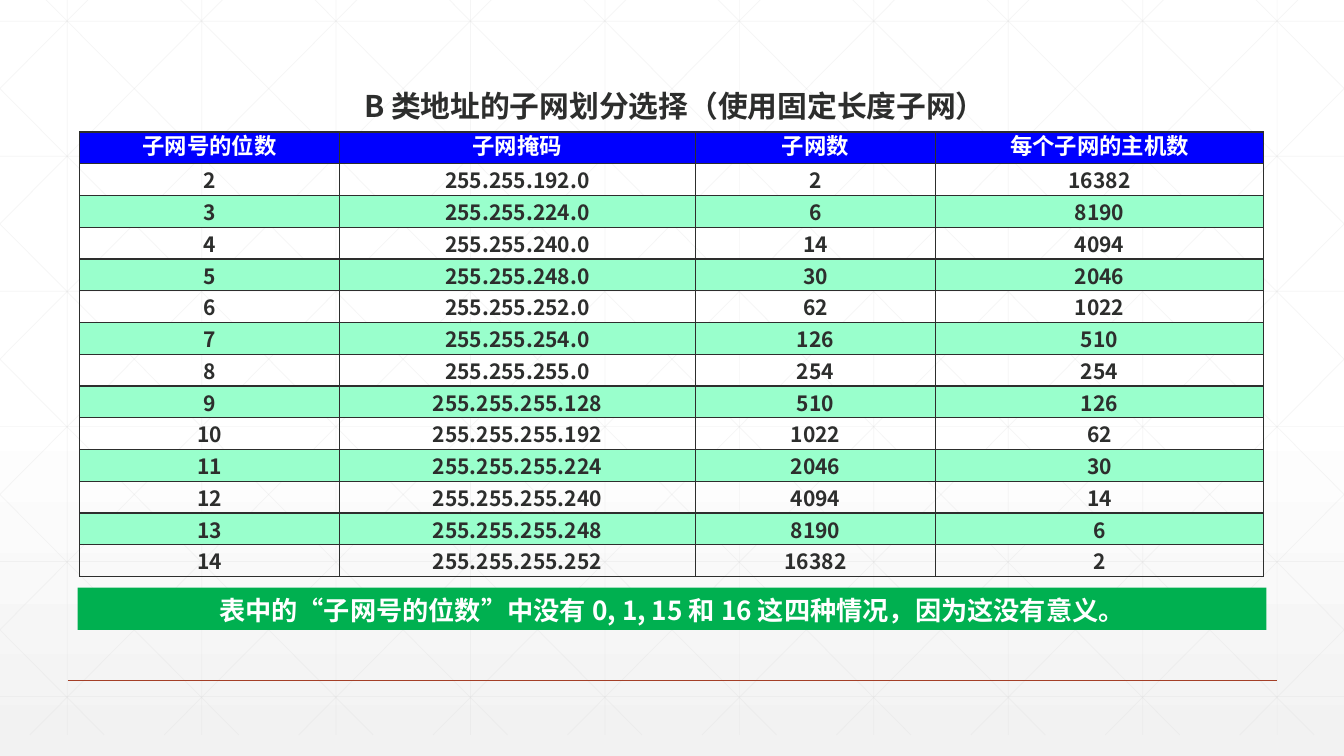
from dataclasses import dataclass

import lxml.etree
import pptx
import pptx.dml.color
import pptx.enum.shapes
import pptx.enum.text
import pptx.oxml
import pptx.oxml.ns
import pptx.util

Inches = pptx.util.Inches
Pt = pptx.util.Pt
qn = pptx.oxml.ns.qn


@dataclass(frozen=True)
class Theme:
    font: str = "Noto Sans CJK SC"
    ink: str = "2D2E2D"
    white: str = "FFFFFF"
    page_foot: str = "F2F2F2"
    grid: str = "D9D9D9"
    rule: str = "A43F27"
    header: str = "0000FF"
    band: str = "99FFCC"
    note: str = "00B050"
    title_size: float = 21.3
    header_size: float = 16
    body_size: float = 15
    note_size: float = 18.7


THEME = Theme()
SLIDE_WIDTH, SLIDE_HEIGHT = 13.33, 7.5
HEADINGS = ["子网号的位数", "子网掩码", "子网数", "每个子网的主机数"]


def rgb(value):
    return pptx.dml.color.RGBColor.from_string(value)


def style(paragraph, size, color):
    paragraph.alignment = pptx.enum.text.PP_ALIGN.CENTER
    font = paragraph.font
    font.size, font.bold, font.name = Pt(size), True, THEME.font
    font.color.rgb = rgb(color)
    properties = paragraph._p.pPr.find(qn("a:defRPr"))
    lxml.etree.SubElement(properties, qn("a:ea")).set("typeface", THEME.font)


def write(frame, text, size, color):
    frame.text = text
    frame.word_wrap = True
    frame.vertical_anchor = pptx.enum.text.MSO_ANCHOR.MIDDLE
    style(frame.paragraphs[0], size, color)


def add_line(slide, start, end, color, width, opacity=100):
    line = slide.shapes.add_connector(
        pptx.enum.shapes.MSO_CONNECTOR.STRAIGHT,
        *(Inches(value) for value in (*start, *end)))
    line.line.color.rgb = rgb(color)
    line.line.width = Pt(width)
    tint = line._element.spPr.find(".//" + qn("a:srgbClr"))
    lxml.etree.SubElement(tint, qn("a:alpha")).set("val", str(opacity * 1000))
    lxml.etree.SubElement(line._element.spPr, qn("a:effectLst"))


def paint_page(slide):
    fill = slide.background.fill
    fill.gradient()
    fill.gradient_angle = 270
    stops = slide._element.find(".//" + qn("a:gsLst"))
    for stop in list(stops):
        stops.remove(stop)
    for position, color in ((0, THEME.white), (53, THEME.white), (100, THEME.page_foot)):
        stop = lxml.etree.SubElement(stops, qn("a:gs"), pos=str(position * 1000))
        lxml.etree.SubElement(stop, qn("a:srgbClr"), val=color)


def add_grid(slide, left, top, width, height):
    pitch, run = 4 / 3, 7.45
    right, bottom = left + width, top + height
    slope = height / run
    lines = []
    for column in range(10):
        x = left + pitch * (column + 0.5)
        lines.append(((x, top), (x, bottom)))
    for row in range(6):
        y = top + 0.42 + 1.34 * row
        lines.append(((left, y), (right, y)))
    for step in range(-5, 10):
        x = left + 0.25 + pitch * step
        x1, x2 = max(x, left), min(x + run, right)
        y1, y2 = top + (x1 - x) * slope, top + (x2 - x) * slope
        lines.append(((x1, y1), (x2, y2)))
        lines.append(((left + right - x1, y1), (left + right - x2, y2)))
    for start, end in lines:
        add_line(slide, start, end, THEME.grid, 0.5, 25)


def place_title(slide, left, top, width, height):
    title = slide.shapes.title
    title.left, title.top = Inches(left), Inches(top)
    title.width, title.height = Inches(width), Inches(height)
    frame = title.text_frame
    frame.margin_left = frame.margin_right = 0
    write(frame, "B 类地址的子网划分选择（使用固定长度子网）", THEME.title_size, THEME.ink)
    slide.shapes._spTree.append(title._element)


def subnet_row(bits):
    host_span = 2 ** (16 - bits)
    third, fourth = divmod(2 ** 16 - host_span, 256)
    return [bits, f"255.255.{third}.{fourth}", 2 ** bits - 2, host_span - 2]


def outline(cell):
    properties = cell._tc.get_or_add_tcPr()
    for index, side in enumerate(("lnL", "lnR", "lnT", "lnB")):
        border = lxml.etree.Element(qn("a:" + side), w=str(Pt(1)))
        solid = lxml.etree.SubElement(border, qn("a:solidFill"))
        lxml.etree.SubElement(solid, qn("a:srgbClr"), val=THEME.ink)
        properties.insert(index, border)


def add_subnet_table(slide, left, top, width, height):
    rows = [HEADINGS] + [subnet_row(bits) for bits in range(2, 15)]
    table = slide.shapes.add_table(
        len(rows), len(HEADINGS),
        Inches(left), Inches(top), Inches(width), Inches(height)).table
    table.first_row = table.horz_banding = False
    shares = (2.58, 3.53, 2.39, 3.25)
    for column, share in zip(table.columns, shares):
        column.width = Inches(width * share / sum(shares))
    for index, row in enumerate(rows):
        table.rows[index].height = Inches(height / len(rows))
        is_header = index == 0
        fill = THEME.header if is_header else THEME.band if index % 2 == 0 else None
        size = THEME.header_size if is_header else THEME.body_size
        color = THEME.white if is_header else THEME.ink
        for column, value in enumerate(row):
            cell = table.cell(index, column)
            cell.margin_top = cell.margin_bottom = 0
            cell.vertical_anchor = pptx.enum.text.MSO_ANCHOR.MIDDLE
            cell.text = str(value)
            paragraph = cell.text_frame.paragraphs[0]
            style(paragraph, size, color)
            if is_header:
                paragraph.line_spacing = Pt(19)
            if fill:
                cell.fill.solid()
                cell.fill.fore_color.rgb = rgb(fill)
            else:
                cell.fill.background()
            outline(cell)


def add_note(slide, left, top, width, height):
    note = slide.shapes.add_shape(
        pptx.enum.shapes.MSO_SHAPE.RECTANGLE,
        Inches(left), Inches(top), Inches(width), Inches(height))
    note.shadow.inherit = False
    note.fill.solid()
    note.fill.fore_color.rgb = rgb(THEME.note)
    note.line.fill.background()
    write(note.text_frame,
          "表中的“子网号的位数”中没有 0, 1, 15 和 16 这四种情况，因为这没有意义。",
          THEME.note_size, THEME.white)
    note.text_frame.paragraphs[0].line_spacing = 1.1


def main():
    deck = pptx.Presentation()
    deck.slide_width, deck.slide_height = Inches(SLIDE_WIDTH), Inches(SLIDE_HEIGHT)
    slide = deck.slides.add_slide(deck.slide_layouts[5])
    paint_page(slide)
    add_grid(slide, 0, -0.21, SLIDE_WIDTH, 7.5)
    add_line(slide, (0.67, 6.75), (12.67, 6.75), THEME.rule, 1)
    place_title(slide, 3.36, 0.82, 6.67, 0.46)
    add_subnet_table(slide, 0.79, 1.31, 11.74, 4.41)
    add_note(slide, 0.77, 5.83, 11.79, 0.42)
    deck.save("out.pptx")


if __name__ == "__main__":
    main()
